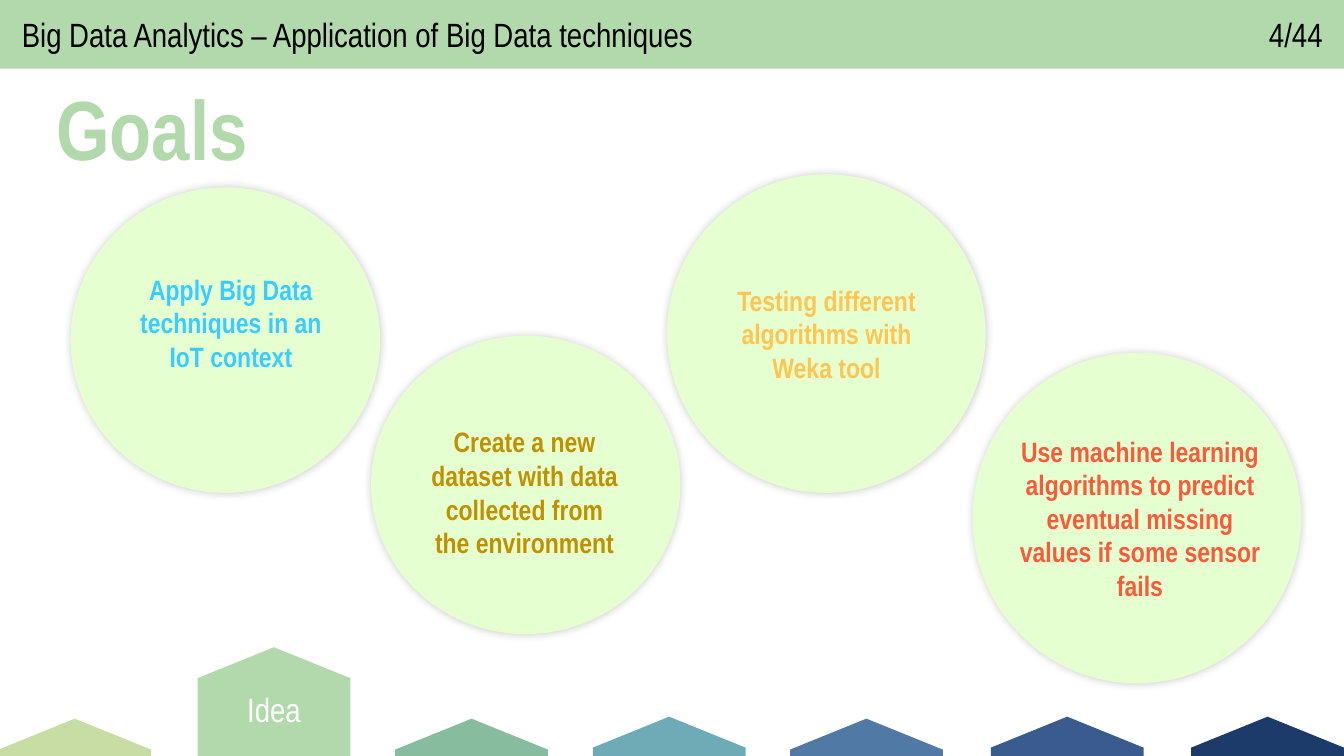
from dataclasses import dataclass
from typing import Any

from lxml import etree
from pptx import Presentation
from pptx import util as u
from pptx.dml.color import RGBColor
from pptx.enum import shapes, text
from pptx.oxml import ns

GREEN = RGBColor(0xB2, 0xD9, 0xAB)
MINT = RGBColor(0xE6, 0xFF, 0xD1)
LIME = RGBColor(0xC8, 0xDD, 0xA4)
SEA = RGBColor(0x87, 0xBC, 0x9E)
TEAL = RGBColor(0x6D, 0xAB, 0xB7)
STEEL = RGBColor(0x51, 0x79, 0xA5)
BLUE = RGBColor(0x39, 0x5B, 0x8E)
NAVY = RGBColor(0x1C, 0x3B, 0x6A)
SKY = RGBColor(0x3B, 0xCC, 0xFF)
OCHRE = RGBColor(0xBF, 0x90, 0x00)
AMBER = RGBColor(0xFF, 0xC5, 0x50)
CORAL = RGBColor(0xF8, 0x5A, 0x3A)
BLACK = RGBColor(0, 0, 0)
WHITE = RGBColor(0xFF, 0xFF, 0xFF)

FONT = "Arial Narrow"
TAB_WIDTH, ROOF, INSET = 3.85, 0.78, 0.33
Box = tuple[float, float, float, float]


@dataclass(frozen=True)
class Tab:
    left: float
    top: float
    height: float
    color: RGBColor
    label: str = ""


@dataclass(frozen=True)
class Goal:
    circle: Box
    label: Box
    words: str
    color: RGBColor
    bottom: float = INSET


TABS = [
    Tab(-0.04, 18.11, 5.38, LIME),
    Tab(4.98, 16.31, 4.09, GREEN, "Idea"),
    Tab(9.96, 18.11, 4.09, SEA),
    Tab(14.94, 18.06, 4.09, TEAL),
    Tab(19.91, 18.11, 4.09, STEEL),
    Tab(24.97, 18.06, 4.09, BLUE),
    Tab(30.02, 18.06, 5.69, NAVY),
]

GOALS = [
    Goal((16.81, 4.39, 8.03, 8.03), (18.06, 5.13, 5.54, 6.55),
         "Testing different algorithms with Weka tool", AMBER),
    Goal((24.51, 8.89, 8.28, 8.33), (25.25, 9.6, 6.96, 6.91),
         "Use machine learning algorithms to predict eventual missing "
         "values if some sensor fails", CORAL),
    Goal((1.78, 4.72, 7.8, 7.7), (3.05, 5.77, 5.54, 5.56),
         "Apply Big Data techniques in an IoT context", SKY, 1.17),
    Goal((9.35, 8.46, 7.8, 7.52), (10.49, 10.01, 5.46, 4.78),
         "Create a new dataset with data collected from the environment", OCHRE),
]


def cm(*values: float) -> list[int]:
    return [u.Cm(v) for v in values]


def paint(sp: Any, color: RGBColor) -> None:
    sp.shadow.inherit = False
    sp.fill.solid()
    sp.fill.fore_color.rgb = color
    sp.line.fill.background()


def write(sp: Any, words: str, size: float, color: RGBColor, bold: bool = False,
          align: Any = text.PP_ALIGN.LEFT, anchor: Any = text.MSO_ANCHOR.MIDDLE,
          margins: dict[str, float] | None = None) -> None:
    tf = sp.text_frame
    frame = {"word_wrap": True, "vertical_anchor": anchor}
    frame |= {f"margin_{side}": u.Cm(v) for side, v in (margins or {}).items()}
    for name, value in frame.items():
        setattr(tf, name, value)
    p = tf.paragraphs[0]
    p.alignment = align
    r = p.add_run()
    r.text = words
    for name, value in {"name": FONT, "size": u.Pt(size), "bold": bold}.items():
        setattr(r.font, name, value)
    r.font.color.rgb = color


def inset(bottom: float) -> dict[str, float]:
    return {"left": INSET, "top": INSET, "right": INSET, "bottom": bottom}


def add_glow(sp: Any) -> None:
    effects = sp.element.spPr.find(ns.qn("a:effectLst"))
    shadow = etree.SubElement(effects, ns.qn("a:outerShdw"), blurRad=str(u.Pt(6)),
                              dist="0", dir="18900000", algn="ctr", rotWithShape="0")
    color = etree.SubElement(shadow, ns.qn("a:srgbClr"), val="000000")
    etree.SubElement(color, ns.qn("a:alpha"), val="20000")


def add_tab(s: Any, tab: Tab) -> None:
    right, bottom = tab.left + TAB_WIDTH, tab.top + tab.height
    eaves = tab.top + ROOF
    corners = [(tab.left, eaves), (tab.left, bottom), (right, bottom), (right, eaves)]
    outline = s.shapes.build_freeform(*cm(tab.left + TAB_WIDTH / 2, tab.top))
    outline.add_line_segments([cm(*corner) for corner in corners], close=True)
    sp = outline.convert_to_shape()
    paint(sp, tab.color)
    if tab.label:
        write(sp, tab.label, 24, WHITE, align=text.PP_ALIGN.CENTER, margins=inset(1.32))


def add_goal(s: Any, goal: Goal) -> None:
    group = s.shapes.add_group_shape()
    circle = group.shapes.add_shape(shapes.MSO_SHAPE.OVAL, *cm(*goal.circle))
    paint(circle, MINT)
    add_glow(circle)
    label = group.shapes.add_textbox(*cm(*goal.label))
    write(label, goal.words, 20, goal.color, True, text.PP_ALIGN.CENTER,
          margins=inset(goal.bottom))


def main() -> None:
    prs = Presentation()
    prs.slide_width, prs.slide_height = cm(33.87, 19.05)
    s = prs.slides.add_slide(prs.slide_layouts[6])

    header = s.shapes.add_shape(shapes.MSO_SHAPE.RECTANGLE, *cm(0, -0.05, 33.87, 1.78))
    paint(header, GREEN)
    for tab in TABS:
        add_tab(s, tab)

    title = s.shapes.add_textbox(*cm(1.17, 1.8, 11.94, 2.82))
    write(title, "Goals", 60, GREEN, True, anchor=text.MSO_ANCHOR.TOP)
    for goal in GOALS:
        add_goal(s, goal)

    page = s.shapes.add_textbox(*cm(30.4, 0.33, 3.18, 1.07))
    write(page, "4/44", 24, BLACK, align=text.PP_ALIGN.RIGHT)
    topic = s.shapes.add_textbox(*cm(0.3, 0.23, 20.8, 1.27))
    write(topic, "Big Data Analytics – Application of Big Data techniques", 24, BLACK,
          anchor=text.MSO_ANCHOR.TOP)

    prs.save("out.pptx")


if __name__ == "__main__":
    main()
